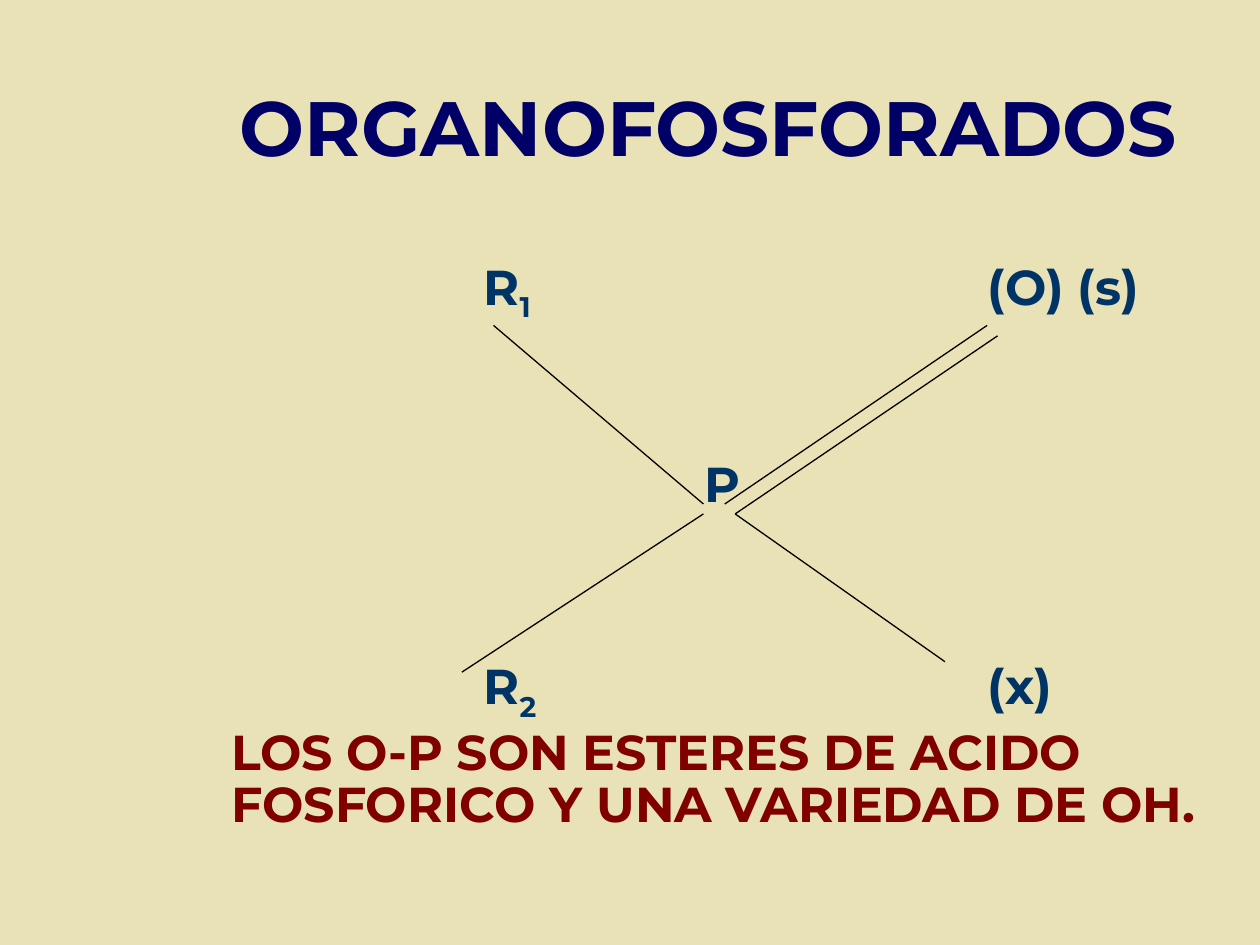
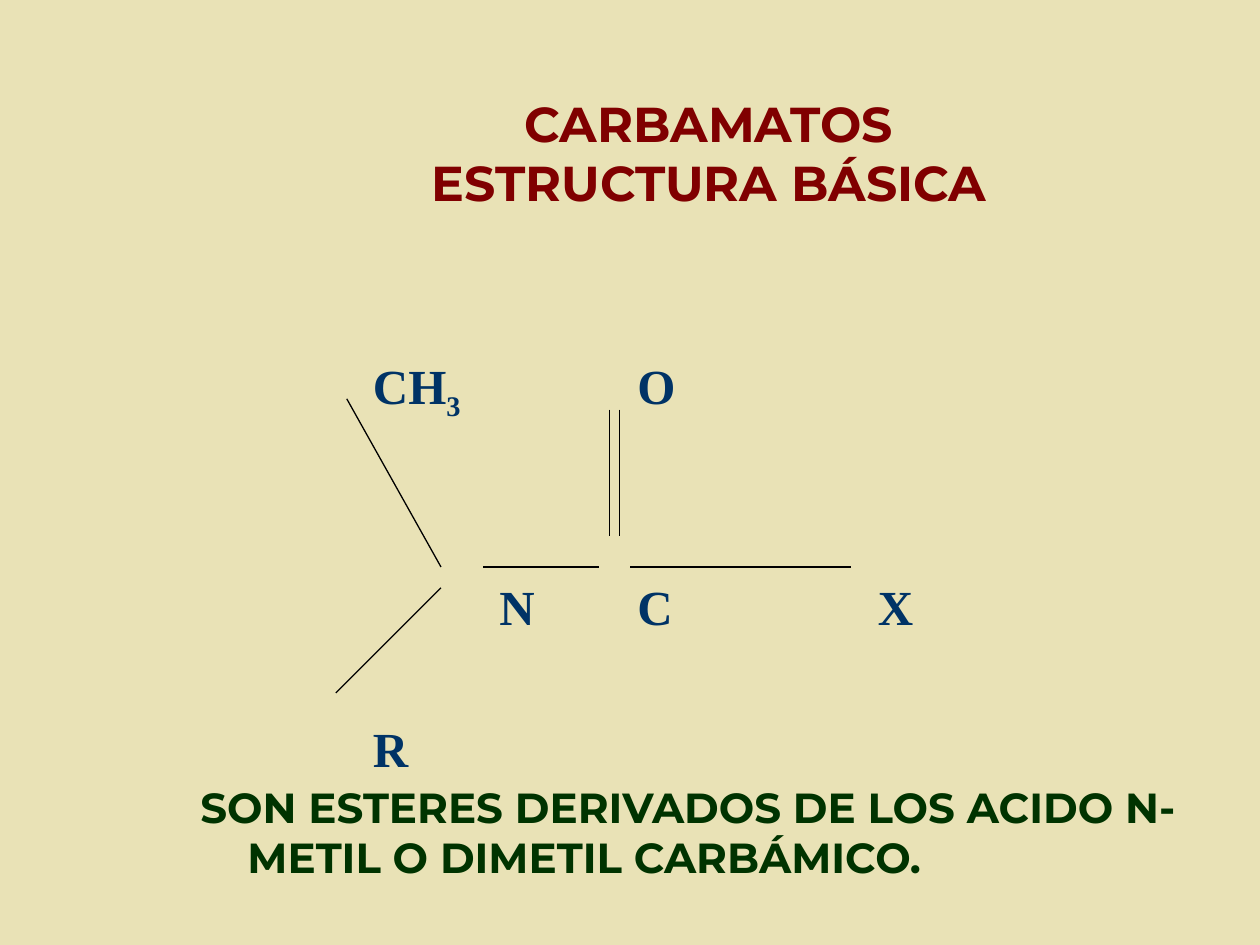
import pptx
import pptx.util
import pptx.dml.color
import pptx.enum.shapes
import pptx.enum.text
import lxml.etree
from dataclasses import dataclass
from pptx.util import Cm


@dataclass(frozen=True)
class Theme:
    background: str = "E9E2B6"
    navy: str = "000066"
    atom: str = "003366"
    maroon: str = "800000"
    green: str = "003300"
    bond: str = "000000"
    sans: str = "Montserrat"
    serif: str = "Times New Roman"
    title_size: int = 44
    text_size: int = 28
    small_size: int = 24
    bond_width: float = 0.75


theme = Theme()
rgb = pptx.dml.color.RGBColor.from_string

# Both slides: molecule atoms are (symbol, subscript, left, top),
# bonds are (x1, y1, x2, y2), all in centimetres
slides = [
    dict(
        title="ORGANOFOSFORADOS", title_height=2.12,
        title_size=theme.title_size, title_color=theme.navy,
        atom_font=theme.sans,
        atoms=[("R", "1", 9.75, 5.17), ("(O) (s)", "", 19.91, 5.17),
               ("P", "", 14.2, 9.14),
               ("R", "2", 9.75, 13.22), ("(x)", "", 19.91, 13.22)],
        bonds=[(14.82, 10.36, 20.11, 6.77), (14.18, 10.36, 9.31, 13.55),
               (14.18, 10.16, 9.95, 6.56), (14.61, 10.16, 19.9, 6.56),
               (14.82, 10.36, 19.05, 13.34)],
        caption="LOS O-P SON ESTERES DE ACIDO FOSFORICO Y UNA VARIEDAD DE OH.",
        caption_box=(4.67, 14.67, 20.2, 2.4), caption_size=theme.text_size,
        caption_color=theme.maroon, spacing=0.9, hanging=0,
    ),
    dict(
        title="CARBAMATOS\vESTRUCTURA BÁSICA", title_height=3.18,
        title_size=theme.text_size, title_color=theme.maroon,
        atom_font=theme.serif,
        atoms=[("CH", "3", 7.52, 7.16), ("O", "", 12.85, 7.16),
               ("N", "", 10.07, 11.62), ("C", "", 12.85, 11.62),
               ("X", "", 17.7, 11.62), ("R", "", 7.52, 14.48)],
        bonds=[(6.99, 8.04, 8.89, 11.43), (8.89, 11.85, 6.77, 13.97),
               (9.74, 11.43, 12.07, 11.43), (12.7, 11.43, 17.15, 11.43),
               (12.49, 8.26, 12.49, 10.8), (12.28, 8.26, 12.28, 10.8)],
        caption="SON ESTERES DERIVADOS DE LOS ACIDO N-METIL O DIMETIL CARBÁMICO.",
        caption_box=(4.04, 15.75, 20.67, 2.2), caption_size=theme.small_size,
        caption_color=theme.green, spacing=1.0, hanging=0.95,
    ),
]


def style(p, font, size, color):
    p.font.name = font
    p.font.size = pptx.util.Pt(size)
    p.font.bold = True
    p.font.color.rgb = rgb(color)


def add_text(s, left, top, width, height, wrap):
    tf = s.shapes.add_textbox(Cm(left), Cm(top), Cm(width), Cm(height)).text_frame
    tf.margin_left = tf.margin_top = tf.margin_right = tf.margin_bottom = 0
    tf.word_wrap = wrap
    return tf.paragraphs[0]


prs = pptx.Presentation()
prs.slide_width, prs.slide_height = Cm(25.4), Cm(19.05)

# Shared background
fill = prs.slide_master.background.fill
fill.solid()
fill.fore_color.rgb = rgb(theme.background)

for d in slides:
    s = prs.slides.add_slide(prs.slide_layouts[5])

    # Title
    sp = s.shapes.title
    sp.left, sp.top = Cm(3.81), Cm(1.48)
    sp.width, sp.height = Cm(20.96), Cm(d["title_height"])
    tf = sp.text_frame
    tf.text = d["title"]
    tf.auto_size = pptx.enum.text.MSO_AUTO_SIZE.NONE
    tf.vertical_anchor = pptx.enum.text.MSO_ANCHOR.MIDDLE
    p = tf.paragraphs[0]
    p.alignment = pptx.enum.text.PP_ALIGN.CENTER
    style(p, theme.sans, d["title_size"], d["title_color"])

    # Atoms
    for symbol, subscript, left, top in d["atoms"]:
        p = add_text(s, left, top, 3.2, 1.2, False)
        p.add_run().text = symbol
        if subscript:
            r = p.add_run()
            r.text = subscript
            r._r.get_or_add_rPr().set("baseline", "-25000")
        style(p, d["atom_font"], theme.text_size, theme.atom)

    # Caption
    p = add_text(s, *d["caption_box"], True)
    p.text = d["caption"]
    p.line_spacing = d["spacing"]
    if d["hanging"]:
        pPr = p._p.get_or_add_pPr()
        pPr.set("marL", str(Cm(d["hanging"])))
        pPr.set("indent", str(-Cm(d["hanging"])))
    style(p, theme.sans, d["caption_size"], d["caption_color"])

    # Bonds
    for bond in d["bonds"]:
        line = s.shapes.add_connector(
            pptx.enum.shapes.MSO_CONNECTOR.STRAIGHT, *map(Cm, bond))
        line.line.color.rgb = rgb(theme.bond)
        line.line.width = pptx.util.Pt(theme.bond_width)
        lxml.etree.SubElement(line._element.spPr, pptx.oxml.ns.qn("a:effectLst"))

prs.save("out.pptx")
